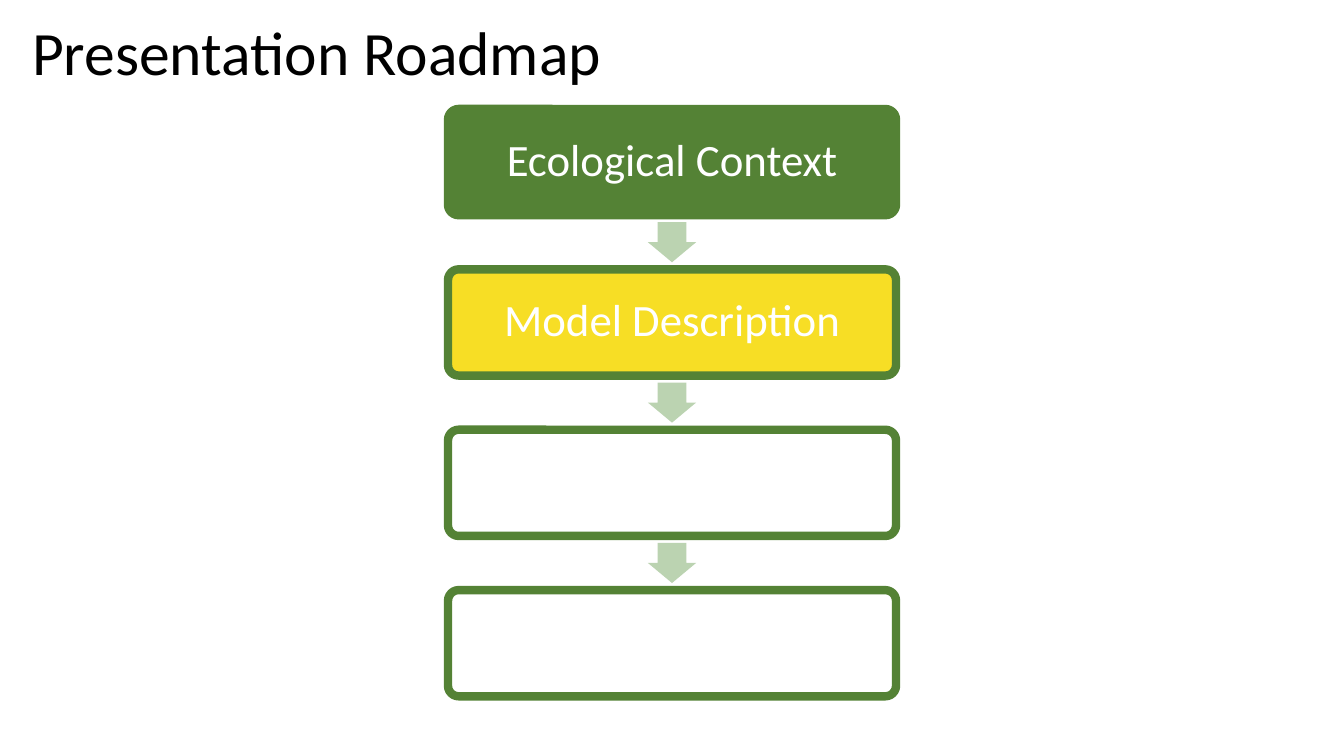
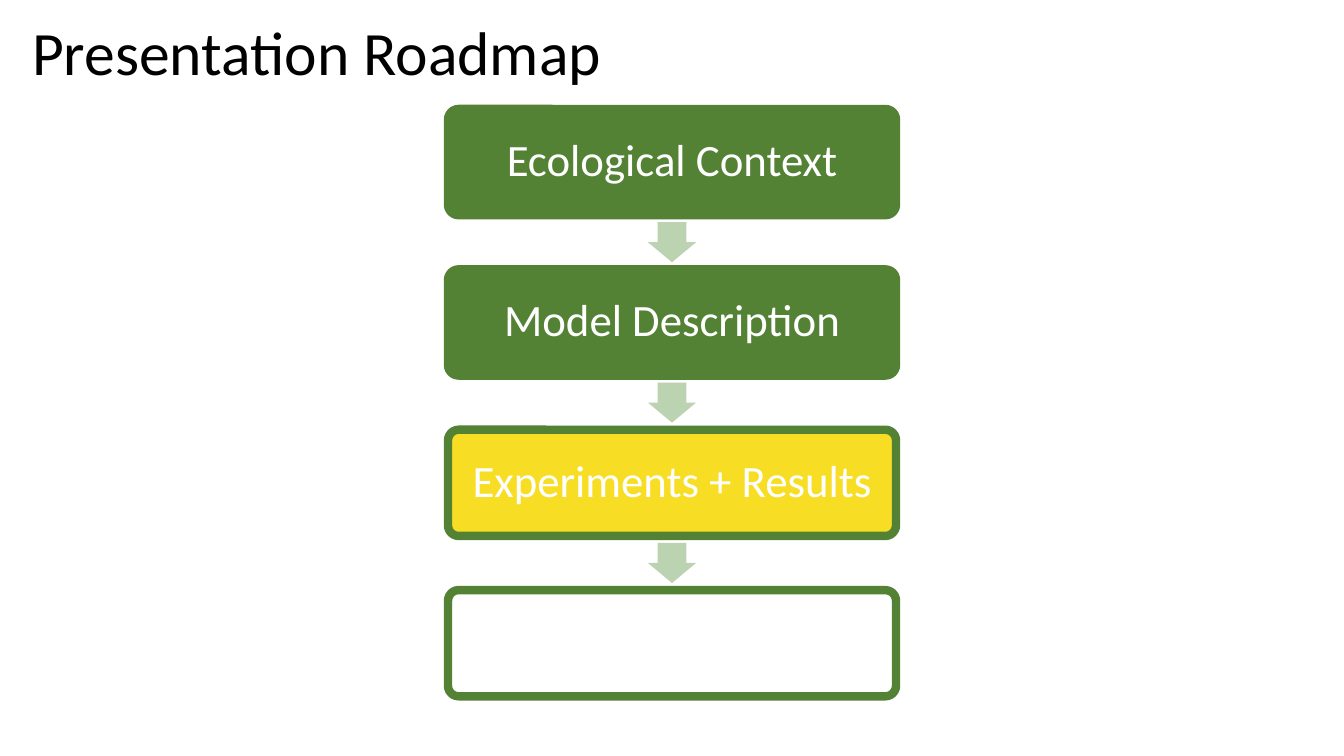
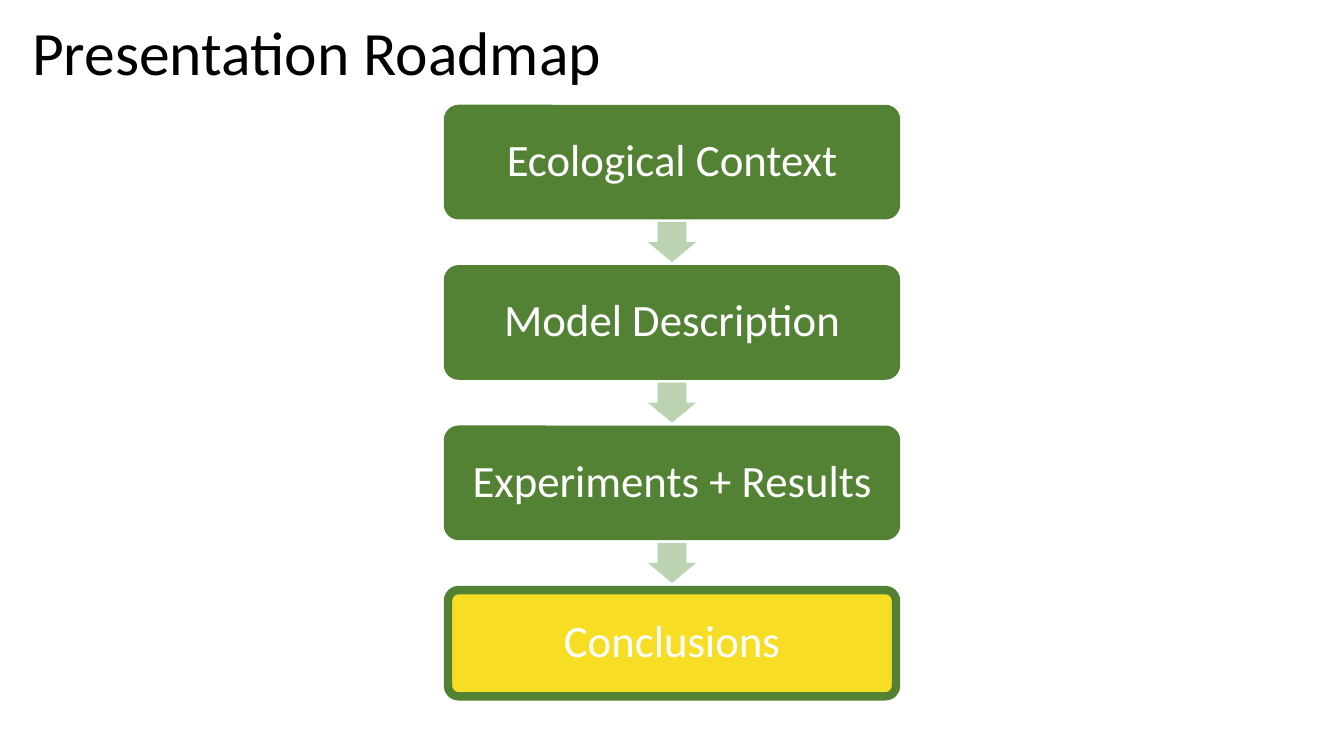
from pptx import Presentation
from pptx.dml.color import RGBColor
from pptx.enum.shapes import MSO_SHAPE as Shape
from pptx.enum.text import MSO_ANCHOR as Anchor, MSO_AUTO_SIZE as AutoSize, PP_ALIGN as Align
from pptx.util import Pt

GREEN = RGBColor(0x54, 0x82, 0x35)
PALE_GREEN = RGBColor(0xBB, 0xD3, 0xB1)
YELLOW = RGBColor(0xF7, 0xDE, 0x25)
WHITE = RGBColor(0xFF, 0xFF, 0xFF)
BLACK = RGBColor(0x00, 0x00, 0x00)

FONT = "Calibri"
INSET = 7.2
TITLE_BOX = (10, 5, 321, 53.5)
FLOW_BOX = (240, 58.4, 240, 314.66)
STEP_HEIGHT = 56.9
ARROW_LENGTH, ARROW_WIDTH = 21.5, 25.8

STEPS = ["Ecological Context", "Model Description", "Experiments + Results", "Conclusions"]


def write_text(shape, text, size, color, align=Align.LEFT, anchor=Anchor.TOP):
    frame = shape.text_frame
    frame.word_wrap = True
    frame.auto_size = AutoSize.NONE
    frame.vertical_anchor = anchor
    frame.margin_left = frame.margin_right = Pt(INSET)
    frame.margin_top = frame.margin_bottom = Pt(INSET)
    para = frame.paragraphs[0]
    para.alignment = align
    para.line_spacing = 0.9
    span = para.add_run()
    span.text = text
    span.font.name = FONT
    span.font.size = Pt(size)
    span.font.color.rgb = color


def add_filled(parent, kind, box, fill, adjustments):
    shape = parent.shapes.add_shape(kind, *map(Pt, box))
    shape.shadow.inherit = False
    shape.fill.solid()
    shape.fill.fore_color.rgb = fill
    for index, value in enumerate(adjustments):
        shape.adjustments[index] = value
    return shape


def add_title(page, box, text):
    title = page.shapes.title
    title.left, title.top, title.width, title.height = map(Pt, box)
    write_text(title, text, size=33, color=BLACK)


def add_step(flow, box, text, fill):
    step = add_filled(flow, Shape.ROUNDED_RECTANGLE, box, fill, [0.1])
    step.line.color.rgb = GREEN
    step.line.width = Pt(4.5)
    if text:
        write_text(step, text, size=24, color=WHITE, align=Align.CENTER, anchor=Anchor.MIDDLE)


def add_down_arrow(flow, center_x, center_y):
    box = (center_x - ARROW_LENGTH / 2, center_y - ARROW_WIDTH / 2, ARROW_LENGTH, ARROW_WIDTH)
    arrow = add_filled(flow, Shape.RIGHT_ARROW, box, PALE_GREEN, [0.6, 0.5])
    arrow.rotation = 90
    arrow.line.fill.background()


def add_roadmap(page, box, current):
    left, top, width, height = box
    pitch = (height - STEP_HEIGHT) / (len(STEPS) - 1)
    flow = page.shapes.add_group_shape()
    for index, name in enumerate(STEPS):
        step_top = top + index * pitch
        if index:
            add_down_arrow(flow, left + width / 2, step_top - (pitch - STEP_HEIGHT) / 2)
        fill = GREEN if index < current else YELLOW if index == current else WHITE
        text = name if index <= current else ""
        add_step(flow, (left, step_top, width, STEP_HEIGHT), text, fill)


def add_roadmap_page(deck, current):
    page = deck.slides.add_slide(deck.slide_layouts.get_by_name("Title Only"))
    add_title(page, TITLE_BOX, "Presentation Roadmap")
    add_roadmap(page, FLOW_BOX, current)


def main():
    deck = Presentation()
    deck.slide_width, deck.slide_height = Pt(720), Pt(405)
    for current in range(1, len(STEPS)):
        add_roadmap_page(deck, current)
    deck.save("out.pptx")


if __name__ == "__main__":
    main()
